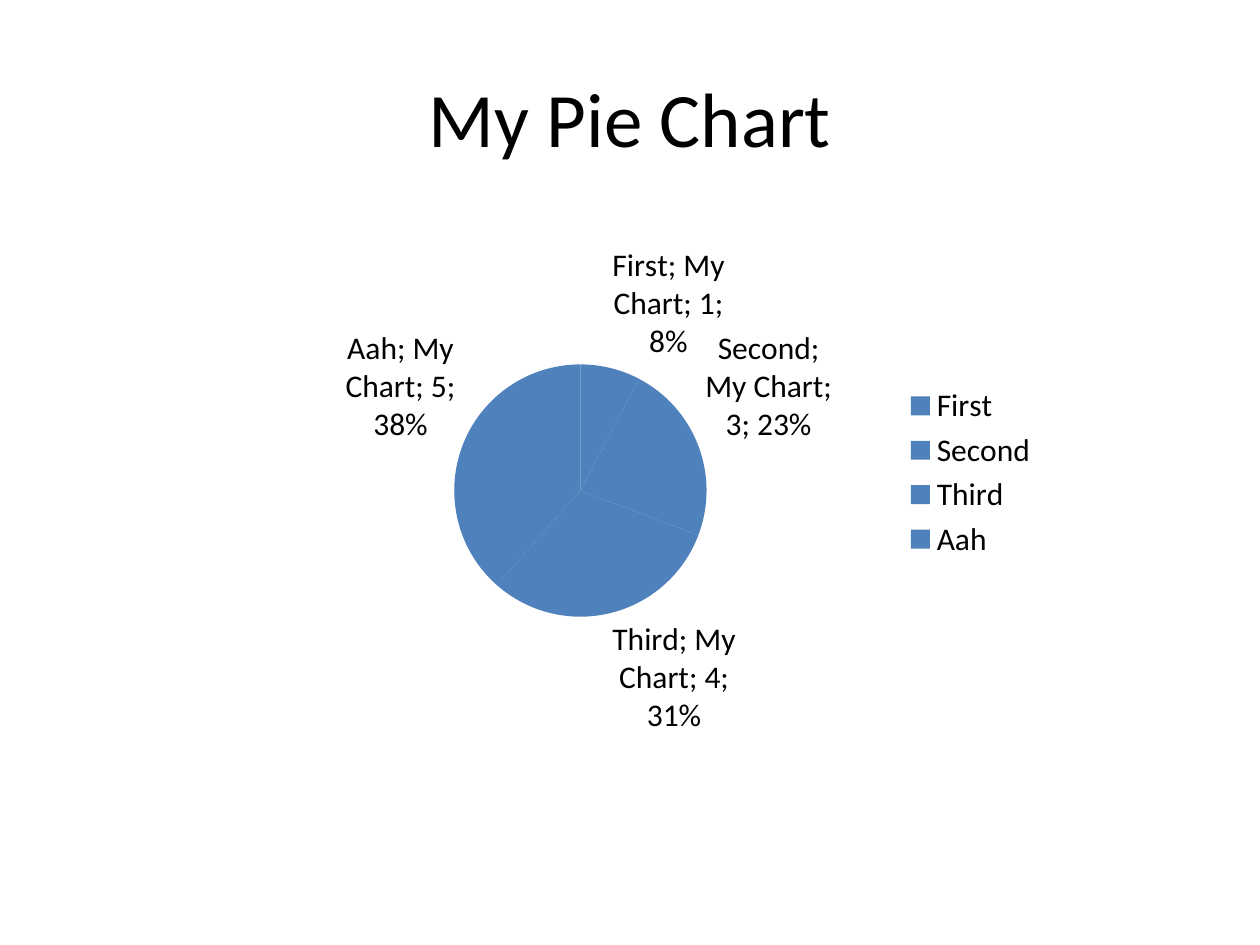
from pptx import Presentation
from pptx.chart.data import CategoryChartData
from pptx.dml.color import RGBColor
from pptx.enum.chart import XL_CHART_TYPE, XL_LABEL_POSITION, XL_LEGEND_POSITION
from pptx.enum.text import MSO_ANCHOR, PP_ALIGN
from pptx.util import Inches, Pt

PIE = XL_CHART_TYPE.PIE
OUTSIDE_END = XL_LABEL_POSITION.OUTSIDE_END
RIGHT = XL_LEGEND_POSITION.RIGHT
MIDDLE = MSO_ANCHOR.MIDDLE
CENTER = PP_ALIGN.CENTER

BLACK = RGBColor(0x00, 0x00, 0x00)
BLUE = RGBColor(0x4F, 0x81, 0xBD)
FONT = "Calibri"

SLICES = {"First": 1, "Second": 3, "Third": 4, "Aah": 5}


def style_font(font, size):
    font.name = FONT
    font.size = Pt(size)
    font.color.rgb = BLACK


def add_title(page, text):
    box = page.shapes.add_textbox(Inches(0.5), Inches(0.3), Inches(9), Inches(1.25))
    frame = box.text_frame
    frame.word_wrap = True
    frame.vertical_anchor = MIDDLE
    para = frame.paragraphs[0]
    para.alignment = CENTER
    span = para.add_run()
    span.text = text
    style_font(span.font, 44)


def add_pie(page, name, slices):
    data = CategoryChartData()
    data.categories = list(slices)
    data.add_series(name, list(slices.values()))
    frame = page.shapes.add_chart(
        PIE, Inches(1.67), Inches(1.53), Inches(6.67), Inches(4.44), data)
    chart = frame.chart
    chart.has_title = False
    style_font(chart.font, 18)

    # Legend
    chart.has_legend = True
    chart.legend.position = RIGHT
    chart.legend.include_in_layout = False

    # Slices share one colour
    plot = chart.plots[0]
    plot.vary_by_categories = False
    fill = plot.series[0].format.fill
    fill.solid()
    fill.fore_color.rgb = BLUE

    # Labels
    labels = plot.series[0].data_labels
    labels.show_category_name = True
    labels.show_series_name = True
    labels.show_value = True
    labels.show_percentage = True
    labels.position = OUTSIDE_END


def main():
    deck = Presentation()
    deck.slide_width = Inches(10)
    deck.slide_height = Inches(7.5)
    page = deck.slides.add_slide(deck.slide_layouts[6])
    add_title(page, "My Pie Chart")
    add_pie(page, "My Chart", SLICES)
    deck.save("out.pptx")


if __name__ == "__main__":
    main()
